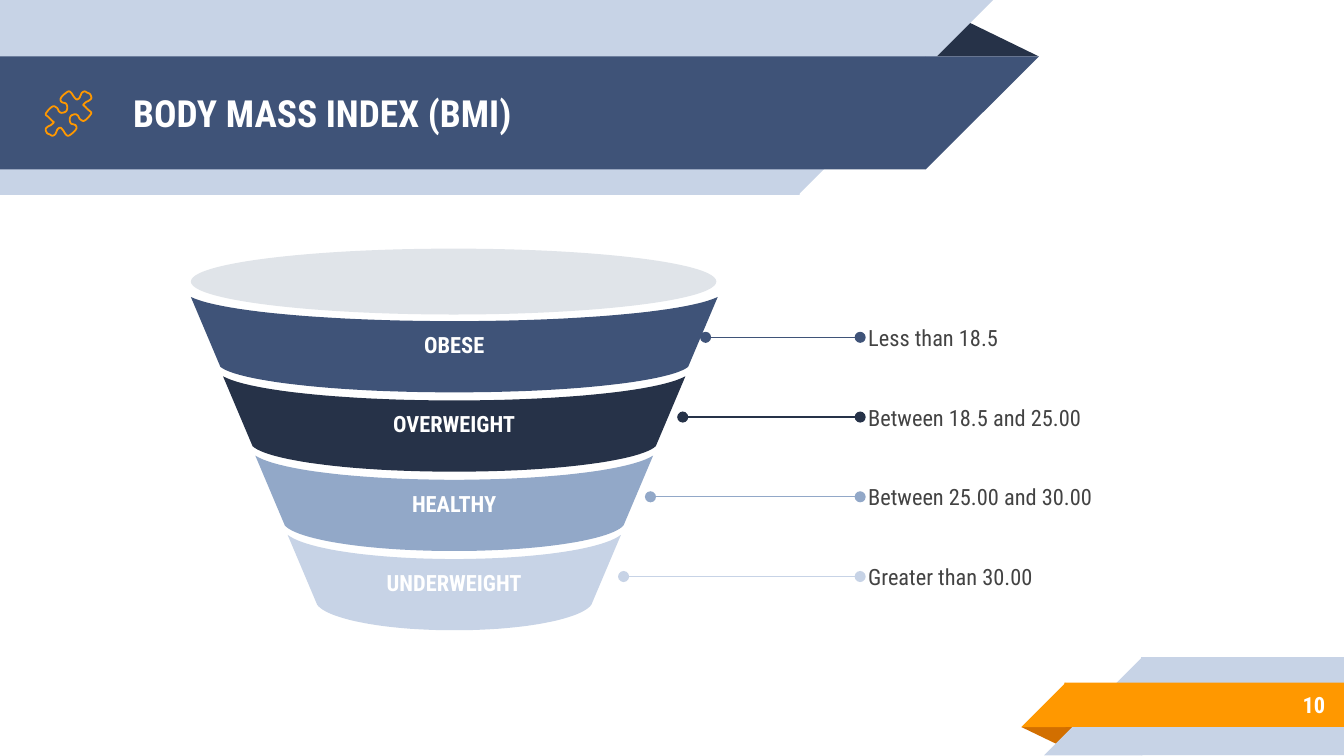
from typing import NamedTuple

from pptx import Presentation
from pptx.dml.color import RGBColor
from pptx.enum.shapes import MSO_CONNECTOR, MSO_SHAPE as Shape
from pptx.enum.text import MSO_ANCHOR, MSO_AUTO_SIZE, PP_ALIGN as Align
from pptx.oxml.ns import qn
from pptx.util import Inches, Pt
from lxml.etree import SubElement

NAVY, DARK, MID, PALE, ORANGE = "3F5378", "263248", "92A8C8", "C7D3E6", "FF9800"
CENTRE, FIRST_TOP, FIRST_HALF = 3.38, 2.21, 1.96
ROW_STEP, HALF_STEP = 0.59, 0.24
FIRST_LINE, LAST_LINE = 2.51, 4.29
Point = tuple[float, float]


class Block(NamedTuple):
    kind: Shape
    box: tuple[float, float, float, float]
    color: str
    flip: str = ""
    rotation: int = 0


class Level(NamedTuple):
    name: str
    range_text: str
    color: str
    line_start: float


BLOCKS = [
    Block(Shape.ISOSCELES_TRIANGLE, (6.88, 0.14, 0.85, 0.28), DARK),
    Block(Shape.RECTANGLE, (0, 0, 5.95, 1.45), PALE),
    Block(Shape.RIGHT_TRIANGLE, (5.94, 0, 1.45, 1.45), PALE, "flipV"),
    Block(Shape.RECTANGLE, (0, 0.42, 6.89, 0.84), NAVY),
    Block(Shape.RIGHT_TRIANGLE, (6.89, 0.42, 0.84, 0.84), NAVY, "flipV"),
    Block(Shape.ISOSCELES_TRIANGLE, (7.6, 5.41, 0.43, 0.14), "D26F00", "", 180),
    Block(Shape.RECTANGLE, (8.49, 4.89, 1.51, 0.73), PALE),
    Block(Shape.RIGHT_TRIANGLE, (7.77, 4.89, 0.73, 0.73), PALE, "flipH"),
    Block(Shape.RECTANGLE, (7.92, 5.08, 2.08, 0.33), ORANGE),
    Block(Shape.RIGHT_TRIANGLE, (7.6, 5.08, 0.33, 0.33), ORANGE, "flipH"),
]
LEVELS = [
    Level("OBESE", "Less than 18.5", NAVY, 5.25),
    Level("OVERWEIGHT", "Between 18.5 and 25.00", DARK, 5.08),
    Level("HEALTHY", "Between 25.00 and 30.00", MID, 4.84),
    Level("UNDERWEIGHT", "Greater than 30.00", PALE, 4.64),
]
HALF_PUZZLE = [
    (0.64, 0.76), (0.66, 0.75), (0.68, 0.73), (0.67, 0.7), (0.65, 0.69), (0.63, 0.68),
    (0.61, 0.69), (0.6, 0.71), (0.59, 0.73), (0.57, 0.74), (0.55, 0.72), (0.53, 0.69),
    (0.51, 0.68), (0.48, 0.7), (0.46, 0.72), (0.45, 0.74), (0.46, 0.76), (0.49, 0.77),
    (0.5, 0.79), (0.5, 0.81), (0.49, 0.83), (0.46, 0.84), (0.44, 0.83), (0.43, 0.81),
    (0.42, 0.8), (0.4, 0.79), (0.38, 0.8), (0.36, 0.82), (0.34, 0.85), (0.36, 0.87),
    (0.39, 0.9), (0.4, 0.91),
]


def rgb(color: str) -> RGBColor:
    """Turn a hex string into a colour."""
    return RGBColor.from_string(color)


def paint(sp, color: str) -> None:
    """Give a shape a flat fill with no line or shadow."""
    sp.shadow.inherit = False
    sp.fill.solid()
    sp.fill.fore_color.rgb = rgb(color)
    sp.line.fill.background()


def write(sp, text: str, color: str = "FFFFFF", size: int = 12, bold: bool = True,
          align: Align = Align.LEFT, margins: Point = (0.1, 0.1)) -> None:
    """Put one formatted line of text in a shape."""
    tf = sp.text_frame
    side, end = map(Inches, margins)
    frame = dict(word_wrap=True, auto_size=MSO_AUTO_SIZE.NONE,
                 vertical_anchor=MSO_ANCHOR.MIDDLE, margin_left=side,
                 margin_right=side, margin_top=end, margin_bottom=end)
    for name, value in frame.items():
        setattr(tf, name, value)
    p = tf.paragraphs[0]
    p.alignment = align
    r = p.add_run()
    r.text = text
    for name, value in dict(name="Roboto Condensed", size=Pt(size), bold=bold).items():
        setattr(r.font, name, value)
    r.font.color.rgb = rgb(color)


def add_text(s, box: tuple, text: str, **style) -> None:
    """Add a text box with one line."""
    write(s.shapes.add_textbox(*map(Inches, box)), text, **style)


def add_block(s, block: Block) -> None:
    """Add one piece of the ribbons."""
    sp = s.shapes.add_shape(block.kind, *map(Inches, block.box))
    paint(sp, block.color)
    sp.rotation = block.rotation
    if block.kind == Shape.ISOSCELES_TRIANGLE:
        sp.adjustments[0] = 0.324
    if block.flip:
        sp._element.spPr.find(qn("a:xfrm")).set(block.flip, "1")


def bezier(a: Point, b: Point, c: Point, d: Point, steps: int) -> list[Point]:
    """Sample a cubic curve from a to d."""
    ts = [i / steps for i in range(steps + 1)]
    return [tuple((1 - t) ** 3 * w + 3 * t * (1 - t) ** 2 * x
                  + 3 * t * t * (1 - t) * y + t ** 3 * z
                  for w, x, y, z in zip(a, b, c, d)) for t in ts]


def add_outline(s, points: list[Point]):
    """Add a closed freeform through points in inches."""
    corners = [(Inches(x), Inches(y)) for x, y in points]
    builder = s.shapes.build_freeform(*corners[0])
    builder.add_line_segments(corners[1:], close=True)
    return builder.convert_to_shape()


def add_band(s, level: Level, row: int) -> None:
    """Add one funnel band with its name."""
    top, half = FIRST_TOP + row * ROW_STEP, FIRST_HALF - row * HALF_STEP
    corner, low = top + 0.52, half - 0.22
    upper = bezier((0, top + 0.18), (0.42 * half, top + 0.18),
                   (0.87 * half, top + 0.12), (half, top), 24)
    lower = bezier((low, corner), (0.93 * low, corner + 0.1),
                   (0.54 * low, top + 0.71), (0, top + 0.71), 24)
    side = upper + lower
    sp = add_outline(s, [(CENTRE + x, y) for x, y in side]
                     + [(CENTRE - x, y) for x, y in side[-2:0:-1]])
    paint(sp, level.color)
    write(sp, level.name, align=Align.CENTER, margins=(0.07, 0.04))


def add_callout(s, level: Level, row: int) -> None:
    """Add the dotted line and the range beside a band."""
    y = FIRST_LINE + row * (LAST_LINE - FIRST_LINE) / (len(LEVELS) - 1)
    line = s.shapes.add_connector(MSO_CONNECTOR.STRAIGHT, *map(
        Inches, (level.line_start, y, 6.4, y)))
    line.line.color.rgb = rgb(level.color)
    line.line.width = Pt(0.75)
    ln = line.line._get_or_add_ln()
    for end in ("a:headEnd", "a:tailEnd"):
        SubElement(ln, qn(end), type="oval")
    SubElement(line._element.spPr, qn("a:effectLst"))
    add_text(s, (6.46, y - 0.21, 3.02, 0.42), level.range_text,
             color="434343", bold=False, margins=(0, 0))


def add_puzzle(s) -> None:
    """Add the puzzle icon, whose second half is the first one turned."""
    pts = HALF_PUZZLE + [(1.02 - x, 1.69 - y) for x, y in HALF_PUZZLE]
    smooth = []
    for i, b in enumerate(pts):
        a, c, d = pts[i - 1], pts[(i + 1) % len(pts)], pts[(i + 2) % len(pts)]
        out = tuple(q + (r - p) / 6 for p, q, r in zip(a, b, c))
        into = tuple(q - (r - p) / 6 for p, q, r in zip(b, c, d))
        smooth += bezier(b, out, into, c, 4)[:-1]
    sp = add_outline(s, smooth)
    sp.shadow.inherit = False
    sp.fill.background()
    sp.line.color.rgb = rgb(ORANGE)
    sp.line.width = Pt(0.96)


def main() -> None:
    """Build and save the slide."""
    prs = Presentation()
    prs.slide_width, prs.slide_height = Inches(10), Inches(10 * 9 / 16)
    s = prs.slides.add_slide(prs.slide_layouts[5])
    for block in BLOCKS:
        add_block(s, block)
    title = s.shapes.title
    box = dict(left=0.89, top=0.42, width=5.75, height=0.84)
    for name, value in box.items():
        setattr(title, name, Inches(value))
    write(title, "BODY MASS INDEX (BMI)", size=20)
    s.shapes._spTree.append(title._element)
    add_text(s, (8.33, 5.07, 1.63, 0.35), "10", align=Align.RIGHT)
    for row, level in enumerate(LEVELS):
        add_band(s, level, row)
    paint(s.shapes.add_shape(Shape.OVAL, *map(Inches, (1.42, 1.85, 3.91, 0.49))), "E0E4E9")
    for row, level in enumerate(LEVELS):
        add_callout(s, level, row)
    add_puzzle(s)
    prs.save("out.pptx")


if __name__ == "__main__":
    main()
